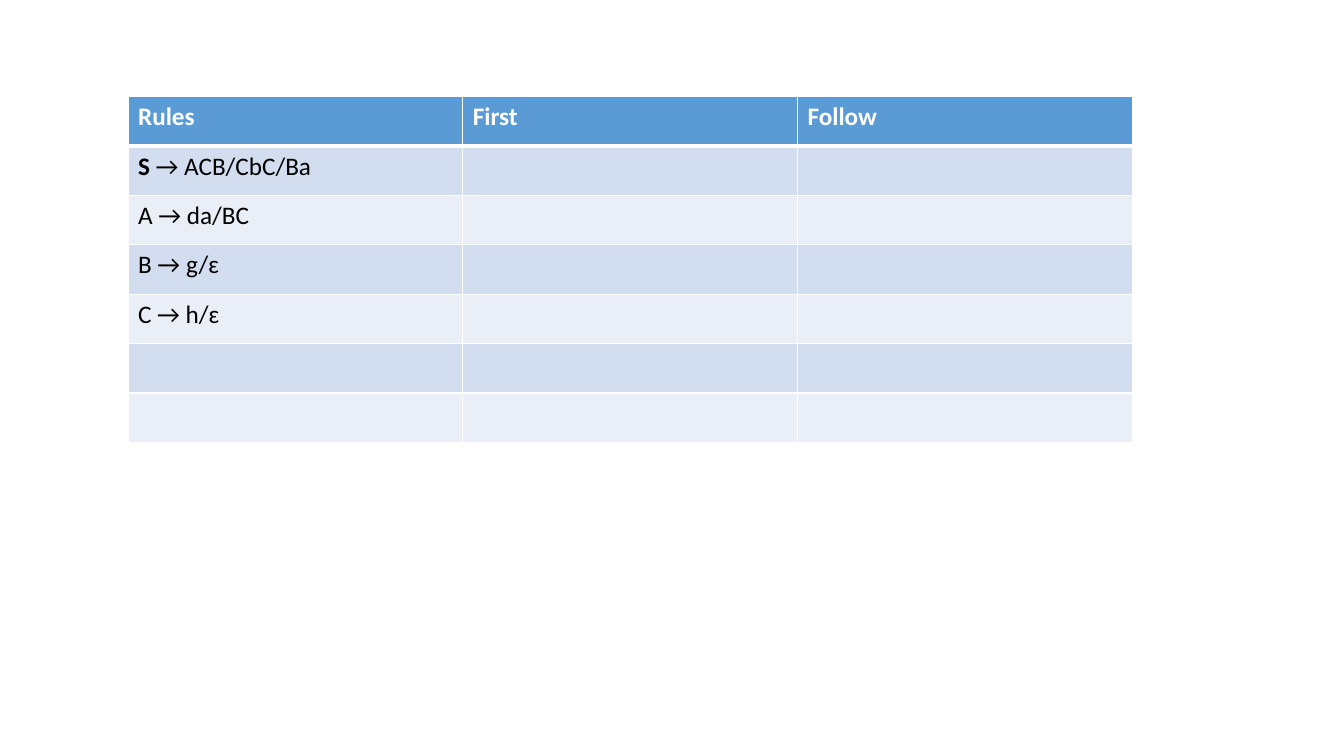
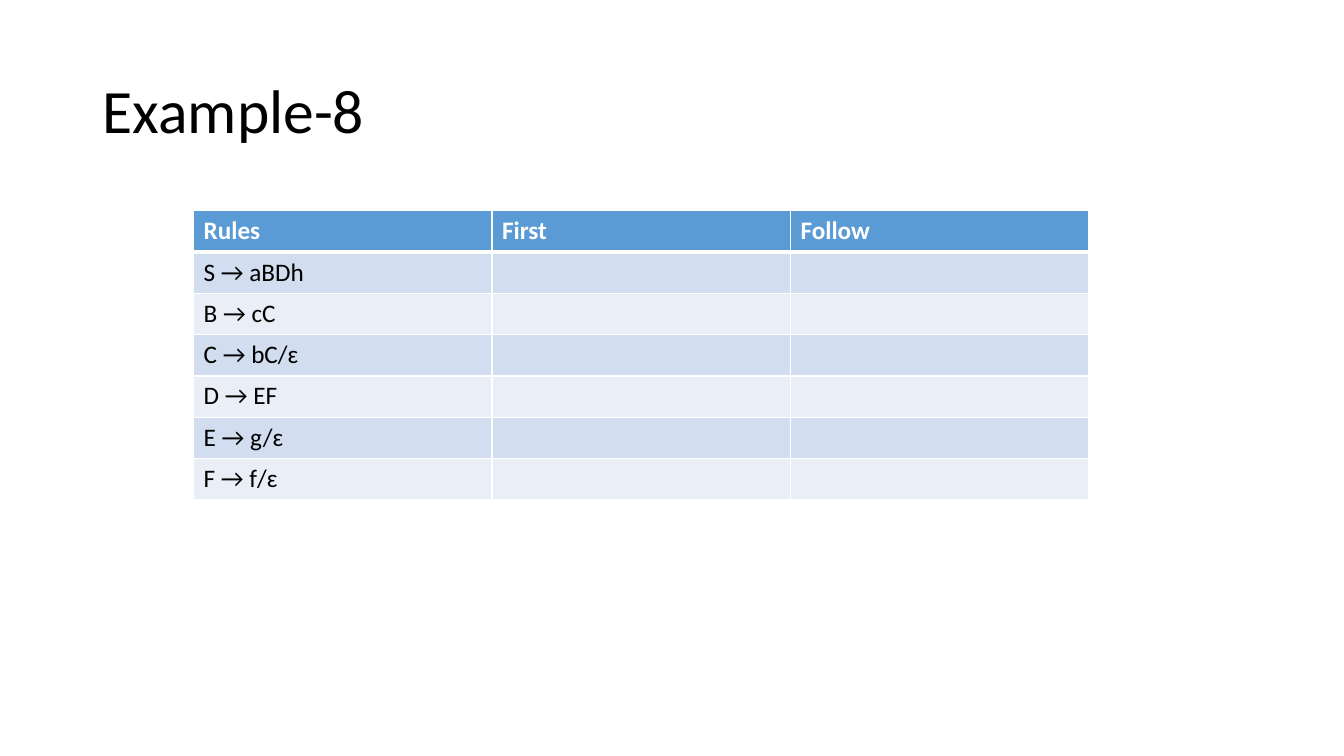
from dataclasses import dataclass

from lxml import etree
from pptx import Presentation
from pptx import util as u
from pptx.dml import color
from pptx.enum import text
from pptx.oxml import ns

FONT = "Calibri"
WHITE, BLACK, HEADER_BLUE = "FFFFFF", "000000", "5B9BD5"
BANDS = ("D2DEEF", "EAEFF7")
HEADINGS = ("Rules", "First", "Follow")
BODY_ROWS = 6
THIN, THICK = 1, 3


@dataclass(frozen=True)
class Rule:
    production: str
    start_symbol: str = ""


@dataclass(frozen=True)
class Grammar:
    left: float
    top: float
    column_width: float
    row_height: float
    rules: tuple[Rule, ...]
    title: str = ""


GRAMMARS = (
    Grammar(1.27, 0.96, 3.32, 0.49, (
        Rule(" → ACB/CbC/Ba", start_symbol="S"),
        Rule("A → da/BC"),
        Rule("B → g/ɛ"),
        Rule("C → h/ɛ"),
    )),
    Grammar(1.92, 2.09, 2.96, 0.41, (
        Rule("S → aBDh"),
        Rule("B → cC"),
        Rule("C → bC/ɛ"),
        Rule("D → EF"),
        Rule("E → g/ɛ"),
        Rule("F → f/ɛ"),
    ), title="Example-8"),
)


def rgb(code: str) -> color.RGBColor:
    return color.RGBColor.from_string(code)


def style_font(font, size: float, code: str, bold: bool = False) -> None:
    font.name = FONT
    font.size = u.Pt(size)
    font.bold = bold
    font.color.rgb = rgb(code)


def set_borders(cell, top: float, bottom: float) -> None:
    properties = cell._tc.get_or_add_tcPr()
    widths = {"a:lnL": THIN, "a:lnR": THIN, "a:lnT": top, "a:lnB": bottom}
    for tag, width in widths.items():
        line = etree.SubElement(properties, ns.qn(tag), w=str(u.Pt(width)))
        fill = etree.SubElement(line, ns.qn("a:solidFill"))
        etree.SubElement(fill, ns.qn("a:srgbClr"), val=WHITE)


def style_cell(cell, row: int) -> None:
    set_borders(cell, THICK if row == 1 else THIN, THICK if row == 0 else THIN)
    cell.fill.solid()
    cell.fill.fore_color.rgb = rgb(BANDS[(row - 1) % 2] if row else HEADER_BLUE)
    style_font(cell.text_frame.paragraphs[0].font, 18, WHITE if row else BLACK)


def write_rule(cell, rule: Rule) -> None:
    paragraph = cell.text_frame.paragraphs[0]
    paragraph.text = rule.start_symbol or rule.production
    style_font(paragraph.runs[0].font, 18, BLACK, bold=bool(rule.start_symbol))
    if rule.start_symbol:
        production = paragraph.add_run()
        production.text = rule.production
        style_font(production.font, 18, BLACK)


def draw_title(slide, title: str) -> None:
    heading = slide.shapes.add_textbox(
        u.Inches(0.92), u.Inches(0.4), u.Inches(11.5), u.Inches(1.45))
    frame = heading.text_frame
    frame.word_wrap = True
    frame.vertical_anchor = text.MSO_ANCHOR.MIDDLE
    frame.text = title
    paragraph = frame.paragraphs[0]
    paragraph.line_spacing = 0.9
    style_font(paragraph.runs[0].font, 44, BLACK)


def draw_grammar(slide, grammar: Grammar) -> None:
    row_count = BODY_ROWS + 1
    table = slide.shapes.add_table(
        row_count, len(HEADINGS),
        u.Inches(grammar.left), u.Inches(grammar.top),
        u.Inches(grammar.column_width * len(HEADINGS)),
        u.Inches(grammar.row_height * row_count)).table
    for column in table.columns:
        column.width = u.Inches(grammar.column_width)
    for index, row in enumerate(table.rows):
        row.height = u.Inches(grammar.row_height)
        for cell in row.cells:
            style_cell(cell, index)
    for column, heading in enumerate(HEADINGS):
        paragraph = table.cell(0, column).text_frame.paragraphs[0]
        paragraph.text = heading
        style_font(paragraph.runs[0].font, 18, WHITE, bold=True)
    for row, rule in enumerate(grammar.rules, start=1):
        write_rule(table.cell(row, 0), rule)


def main() -> None:
    deck = Presentation()
    deck.slide_width, deck.slide_height = u.Inches(13.33), u.Inches(7.5)
    blank = deck.slide_layouts[6]
    for grammar in GRAMMARS:
        slide = deck.slides.add_slide(blank)
        if grammar.title:
            draw_title(slide, grammar.title)
        draw_grammar(slide, grammar)
    deck.save("out.pptx")


main()
